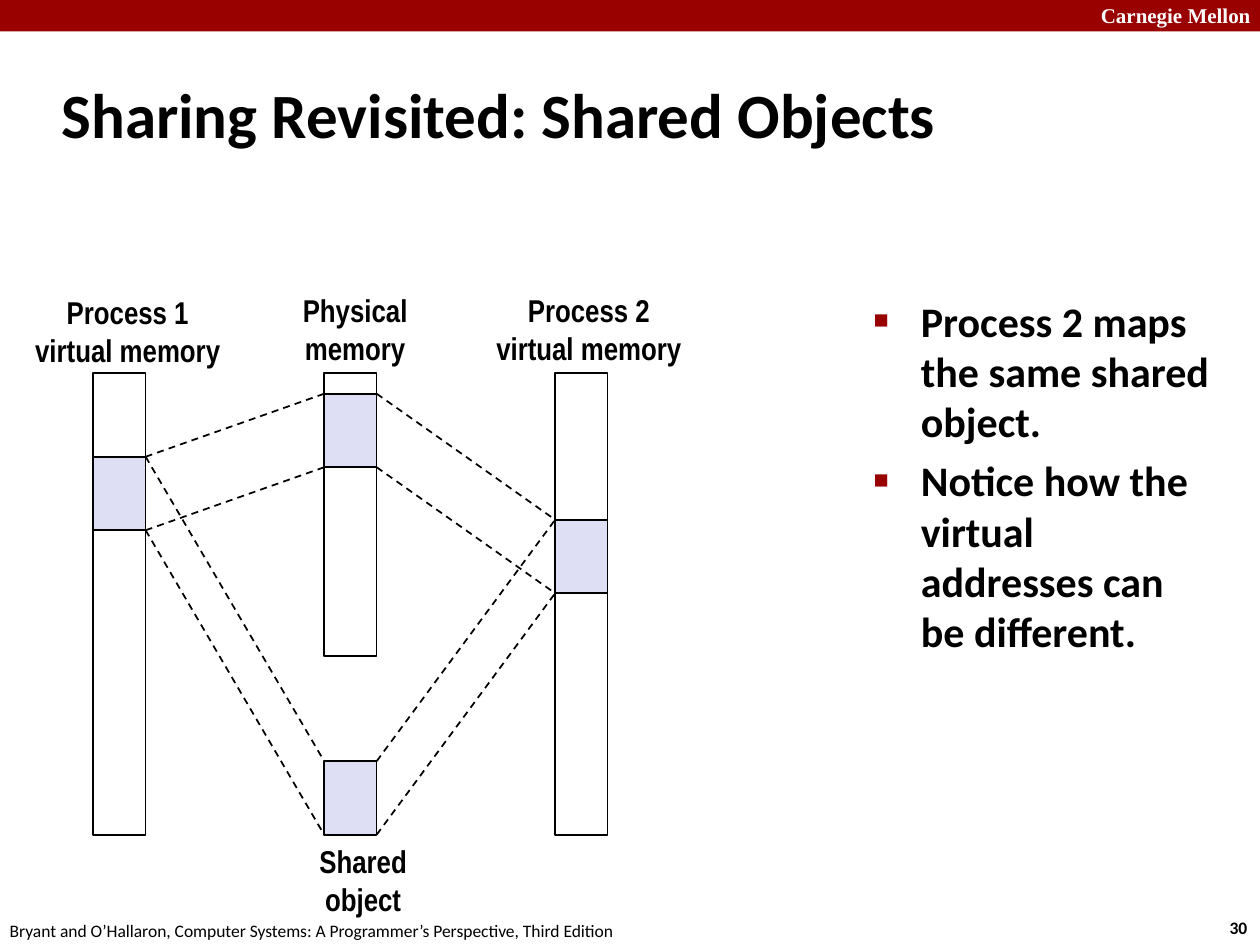
import pptx
import pptx.util
import pptx.dml.color
import pptx.enum.dml
import pptx.enum.shapes
import pptx.enum.text
import pptx.oxml
import lxml.etree

Pt = pptx.util.Pt
ALIGN = pptx.enum.text.PP_ALIGN
ANCHOR = pptx.enum.text.MSO_ANCHOR
NS = "http://schemas.openxmlformats.org/drawingml/2006/main"


def rgb(value):
    return pptx.dml.color.RGBColor.from_string(value)


def write(s, text, size, name, color="000000", bold=True, align=ALIGN.LEFT,
          anchor=ANCHOR.TOP, wrap=True):
    tf = s.text_frame
    tf.text = text
    tf.word_wrap = wrap
    tf.auto_size = pptx.enum.text.MSO_AUTO_SIZE.NONE
    tf.vertical_anchor = anchor
    for p in tf.paragraphs:
        p.alignment = align
        for r in p.runs:
            r.font.size, r.font.name, r.font.bold = Pt(size), name, bold
            r.font.color.rgb = rgb(color)


prs = pptx.Presentation()
prs.slide_width, prs.slide_height = Pt(720), Pt(540)
slide = prs.slides.add_slide(prs.slide_layouts[1])
shapes = slide.shapes

# Header bar
bar = shapes.add_shape(pptx.enum.shapes.MSO_SHAPE.RECTANGLE, 0, 0, Pt(720), Pt(18))
bar.shadow.inherit = False
bar.fill.solid()
bar.fill.fore_color.rgb = rgb("990000")
bar.line.fill.background()

# Header and footer texts
for text, x, y, w, h, size, name, color, bold, wrap in [
    ("Carnegie Mellon", 622, -2, 103, 22, 12, "Times New Roman", "FFFFFF", True, True),
    ("30", 695.5, 520.5, 27, 19.5, 10, "Calibri", "000000", True, False),
    ("Bryant and O’Hallaron, Computer Systems: A Programmer’s Perspective, Third Edition",
     -1.5, 522, 366, 19.5, 10, "Calibri", "000000", False, False),
]:
    s = shapes.add_textbox(Pt(x), Pt(y), Pt(w), Pt(h))
    write(s, text, size, name, color, bold, wrap=wrap)

# Title
title = shapes.title
title.left, title.top, title.width, title.height = Pt(28), Pt(34.5), Pt(598), Pt(60)
write(title, "Sharing Revisited: Shared Objects", 36, "Calibri", anchor=ANCHOR.MIDDLE)

# Bullet list
body = slide.placeholders[1]
body.left, body.top, body.width, body.height = Pt(492), Pt(165), Pt(209), Pt(363)
write(body, "Process 2 maps the same shared object.\n"
            "Notice how the virtual addresses can be different.", 24, "Calibri")
for i, p in enumerate(body.text_frame.paragraphs):
    p.space_before = Pt(4.8 * i)
    pPr = p._p.get_or_add_pPr()
    pPr.set("marL", str(Pt(27)))
    pPr.set("indent", str(-Pt(27)))
    for xml in ('<a:buClr xmlns:a="%s"><a:srgbClr val="990000"/></a:buClr>',
                '<a:buSzPct xmlns:a="%s" val="60000"/>',
                '<a:buFont xmlns:a="%s" typeface="Arial"/>',
                '<a:buChar xmlns:a="%s" char="■"/>'):
        pPr.append(pptx.oxml.parse_xml(xml % NS))

# Memory columns and the shared regions inside them
COL_W, REGION_H, TOP, BOTTOM = 30, 42, 213, 477
proc1, middle, proc2 = [53.25 + 132 * i for i in range(3)]
region1, region_phys, region2 = 261, 225, 297
shared = BOTTOM - REGION_H
for x, y, h, fill in [
    (proc1, TOP, BOTTOM - TOP, None),
    (middle, TOP, 162, None),
    (proc2, TOP, BOTTOM - TOP, None),
    (proc1, region1, REGION_H, "DEDFF5"),
    (middle, region_phys, REGION_H, "DEDFF5"),
    (proc2, region2, REGION_H, "DEDFF5"),
    (middle, shared, REGION_H, "DEDFF5"),
]:
    s = shapes.add_shape(pptx.enum.shapes.MSO_SHAPE.RECTANGLE, Pt(x), Pt(y), Pt(COL_W), Pt(h))
    s.shadow.inherit = False
    if fill:
        s.fill.solid()
        s.fill.fore_color.rgb = rgb(fill)
    else:
        s.fill.background()
    s.line.color.rgb = rgb("000000")
    s.line.width = Pt(1)

# Dashed mapping lines, from the top and bottom edge of each region
for x1, y1, x2, y2 in [
    (proc1 + COL_W, region1, middle, region_phys),
    (proc1 + COL_W, region1, middle, shared),
    (middle + COL_W, region_phys, proc2, region2),
    (middle + COL_W, shared, proc2, region2),
]:
    for dy in (0, REGION_H):
        c = shapes.add_connector(pptx.enum.shapes.MSO_CONNECTOR.STRAIGHT,
                                 Pt(x1), Pt(y1 + dy), Pt(x2), Pt(y2 + dy))
        c.line.color.rgb = rgb("000000")
        c.line.width = Pt(1)
        c.line.dash_style = pptx.enum.dml.MSO_LINE.DASH
        lxml.etree.SubElement(c._element.spPr, "{%s}effectLst" % NS)

# Labels, centred on x
for text, x, y, w in [
    ("Process 1\nvirtual memory", 73, 163.5, 122),
    ("Physical\nmemory", 203, 162.5, 75),
    ("Process 2\nvirtual memory", 336.5, 162.5, 122),
    ("Shared\nobject", 207.5, 477.5, 65),
]:
    s = shapes.add_textbox(Pt(x - w / 2), Pt(y), Pt(w), Pt(51))
    write(s, text, 18, "Arial Narrow", align=ALIGN.CENTER, anchor=ANCHOR.MIDDLE, wrap=False)

prs.save("out.pptx")
